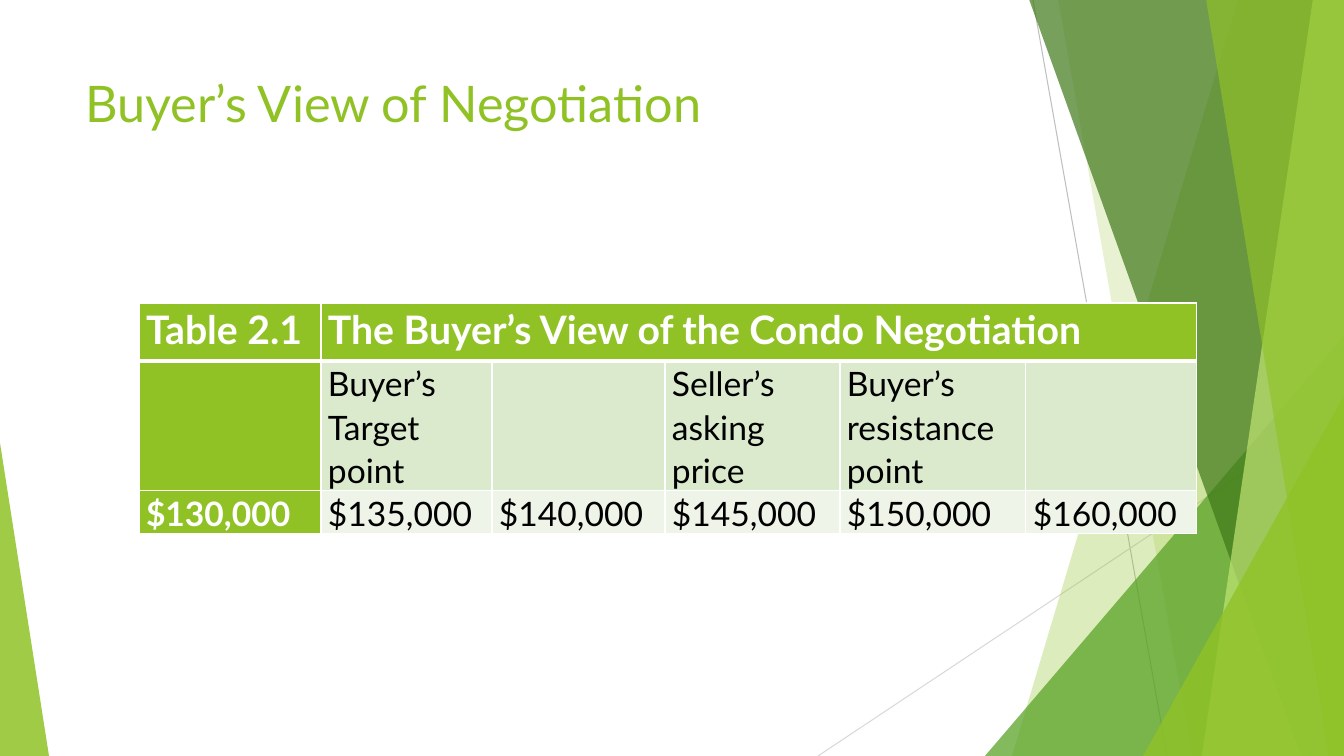
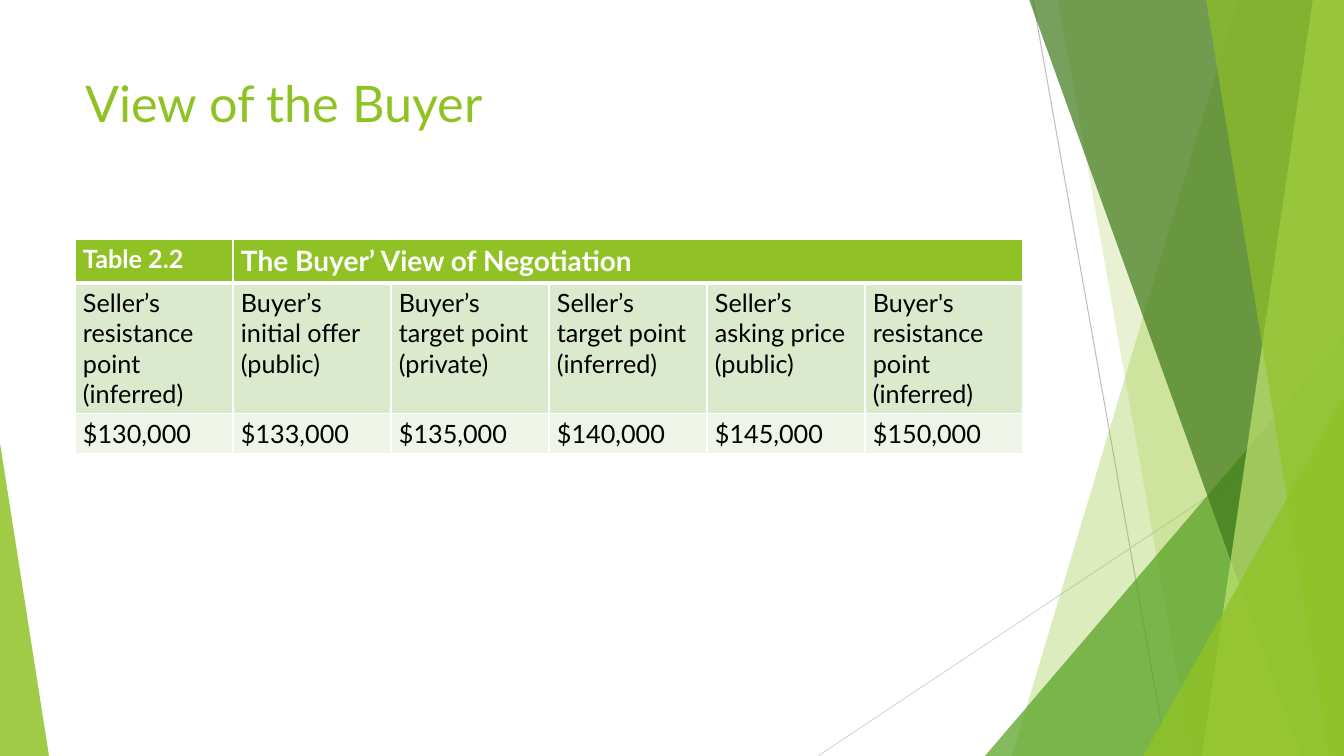
from lxml import etree
from pptx import Presentation
from pptx.dml.color import RGBColor
from pptx.enum.shapes import MSO_CONNECTOR as Connector, MSO_SHAPE as Preset
from pptx.enum.text import MSO_ANCHOR as Anchor, PP_ALIGN as Align
from pptx.oxml.ns import qn
from pptx.util import Emu, Pt

SCALE = 914400 / 100.8
WIDTH, HEIGHT = 1344, 756
FONT = "Lato"
COLORS = {
    "lime": "90C226", "green": "54A021", "forest": "3F7819", "pale": "C0E474",
    "white": "FFFFFF", "black": "000000", "label": "DBE9CD", "value": "EEF4E8",
    "steep line": "BFBFBF", "flat line": "D9D9D9",
}
RULES = [  # start x, start y, end x, end y, colour
    (1033, 0, 1167, HEIGHT, "steep line"),
    (WIDTH, 406, 818, HEIGHT, "flat line"),
]
BACK_BANDS = [  # top x, bottom x, colour, opacity in percent
    (1238, 1012, "lime", 30),
    (1058, 1192, "lime", 20),
]
FRONT_BANDS = [
    (1029, 1301, "forest", 70),
    (1313, 1202, "pale", 70),
    (1206, 1329, "lime", 65),
]
BACK_TRIANGLE = (985, 336, 359, 420, 1, "green", 72)
FRONT_TRIANGLES = [  # left, top, width, height, apex, colour, opacity
    (1143, 396, 201, 360, 1, "lime", 80),
    (0, 443, 49, 313, 0, "lime", 85),
]


def px(value):
    """Turn pixels into EMU."""
    return Emu(round(value * SCALE))


def rgb(name):
    """Look up a named colour."""
    return RGBColor.from_string(COLORS[name])


def write(frame, text, size=18, color="black", bold=False, spacing=None):
    """Put one formatted, left-aligned paragraph into a text frame."""
    paragraph = frame.paragraphs[0]
    paragraph.alignment = Align.LEFT
    if spacing:
        paragraph.line_spacing = spacing
    run = paragraph.add_run()
    run.text = text
    run.font.name, run.font.size, run.font.bold = FONT, Pt(size), bold
    run.font.color.rgb = rgb(color)


def paint(shape, color, opacity):
    """Give a shape a translucent fill, no line and no shadow."""
    shape.shadow.inherit = False
    shape.line.fill.background()
    shape.fill.solid()
    shape.fill.fore_color.rgb = rgb(color)
    fill_color = shape.element.xpath("./p:spPr/a:solidFill/a:srgbClr")[0]
    etree.SubElement(fill_color, qn("a:alpha")).set("val", str(opacity * 1000))


def add_rule(shapes, x1, y1, x2, y2, color):
    """Draw a thin straight line."""
    line = shapes.add_connector(Connector.STRAIGHT, px(x1), px(y1), px(x2), px(y2))
    line.line.color.rgb = rgb(color)
    line.line.width = Pt(0.75)
    etree.SubElement(line.element.xpath("./p:spPr")[0], qn("a:effectLst"))


def add_band(shapes, top_x, bottom_x, color, opacity):
    """Draw a full-height band from a slanted edge to the right side."""
    builder = shapes.build_freeform(top_x, -1, scale=SCALE)
    builder.add_line_segments([(WIDTH, -1), (WIDTH, HEIGHT), (bottom_x, HEIGHT)])
    paint(builder.convert_to_shape(), color, opacity)


def add_triangle(shapes, left, top, width, height, apex, color, opacity):
    """Draw a triangle whose apex sits at a share of its width."""
    triangle = shapes.add_shape(Preset.ISOSCELES_TRIANGLE,
                                px(left), px(top), px(width), px(height))
    triangle.adjustments[0] = apex
    paint(triangle, color, opacity)


def decorate_layout(slide, layout):
    """Draw the facets and move them to the layout, behind all content."""
    shapes = slide.shapes
    present = {shape.shape_id for shape in shapes}
    for rule in RULES:
        add_rule(shapes, *rule)
    for band in BACK_BANDS:
        add_band(shapes, *band)
    add_triangle(shapes, *BACK_TRIANGLE)
    for band in FRONT_BANDS:
        add_band(shapes, *band)
    for triangle in FRONT_TRIANGLES:
        add_triangle(shapes, *triangle)
    facets = [shape for shape in shapes if shape.shape_id not in present]
    for index, facet in enumerate(facets):
        facet.element.xpath(".//p:cNvPr")[0].set("id", str(100 + index))
        layout.shapes.element.insert(2 + index, facet.element)


def set_title(slide, text):
    """Place and fill the title placeholder."""
    title = slide.shapes.title
    title.left, title.top, title.width, title.height = px(75), px(67), px(948), px(145)
    title.text_frame.word_wrap = True
    title.text_frame.vertical_anchor = Anchor.TOP
    write(title.text_frame, text, size=36, color="lime")


def set_borders(cell, top, bottom):
    """Draw white cell borders; top and bottom widths are in points."""
    properties = cell._tc.get_or_add_tcPr()
    for side, width in (("L", 1), ("R", 1), ("T", top), ("B", bottom)):
        line = etree.SubElement(properties, qn("a:ln" + side), w=str(Pt(width)))
        fill = etree.SubElement(line, qn("a:solidFill"))
        etree.SubElement(fill, qn("a:srgbClr"), val=COLORS["white"])


def add_price_table(slide, left, top, columns, heights, rows, insets,
                    header_sizes, size, spacing=None, first_column=False):
    """Add a table with a merged heading, a label row and a value row."""
    frame = slide.shapes.add_table(len(rows), len(columns), px(left), px(top),
                                   px(sum(columns)), px(sum(heights)))
    table = frame.table
    table.horz_banding = False
    for column, width in zip(table.columns, columns):
        column.width = px(width)
    for row, height in zip(table.rows, heights):
        row.height = px(height)
    table.cell(0, 1).merge(table.cell(0, len(columns) - 1))
    side, edge = insets
    for r, texts in enumerate(rows):
        for c in range(len(columns)):
            cell = table.cell(r, c)
            strong = r == 0 or (first_column and c == 0)
            set_borders(cell, top=3 if r == 1 else 1, bottom=3 if r == 0 else 1)
            cell.fill.solid()
            cell.fill.fore_color.rgb = rgb("lime" if strong else ("label", "value")[r - 1])
            cell.margin_left = cell.margin_right = px(side)
            cell.margin_top = cell.margin_bottom = px(edge)
            if c < len(texts) and texts[c]:
                write(cell.text_frame, texts[c], bold=strong, spacing=spacing,
                      size=header_sizes[c] if r == 0 else size,
                      color="white" if strong else "black")


def main():
    """Build both slides and save the presentation."""
    presentation = Presentation()
    presentation.slide_width, presentation.slide_height = px(WIDTH), px(HEIGHT)
    layout = presentation.slide_layouts[5]

    condo = presentation.slides.add_slide(layout)
    decorate_layout(condo, layout)
    set_title(condo, "Buyer’s View of Negotiation")
    add_price_table(
        condo, 139, 303, [182, 171, 173, 175, 186, 171], [58, 129, 43],
        [["Table 2.1", "The Buyer’s View of the Condo Negotiation"],
         ["", "Buyer’s Target point", "", "Seller’s asking price",
          "Buyer’s resistance point", ""],
         ["$130,000", "$135,000", "$140,000", "$145,000", "$150,000", "$160,000"]],
        insets=(7, 0), header_sizes=(28, 28), size=24, spacing=1.07, first_column=True)

    buyer = presentation.slides.add_slide(layout)
    set_title(buyer, "View of the Buyer")
    add_price_table(
        buyer, 75, 239, [158] * 6, [43, 131, 40],
        [["Table 2.2", "The Buyer’ View of Negotiation"],
         ["Seller’s resistance point (inferred)", "Buyer’s initial offer (public)",
          "Buyer’s target point (private)", "Seller’s target point (inferred)",
          "Seller’s asking price (public)", "Buyer's resistance point (inferred)"],
         ["$130,000", "$133,000", "$135,000", "$140,000", "$145,000", "$150,000"]],
        insets=(8, 5), header_sizes=(18, 20), size=18)

    presentation.save("out.pptx")


main()
